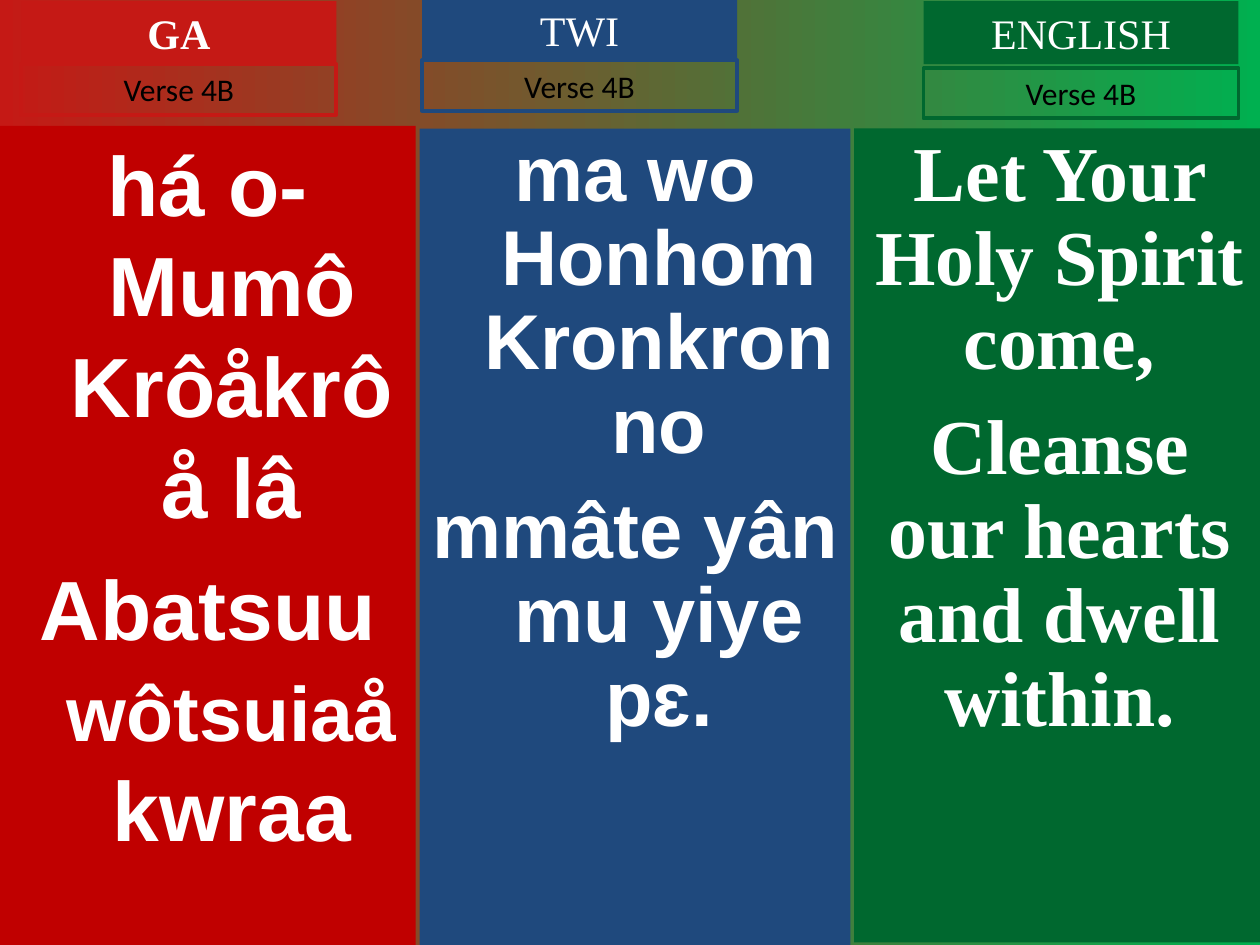
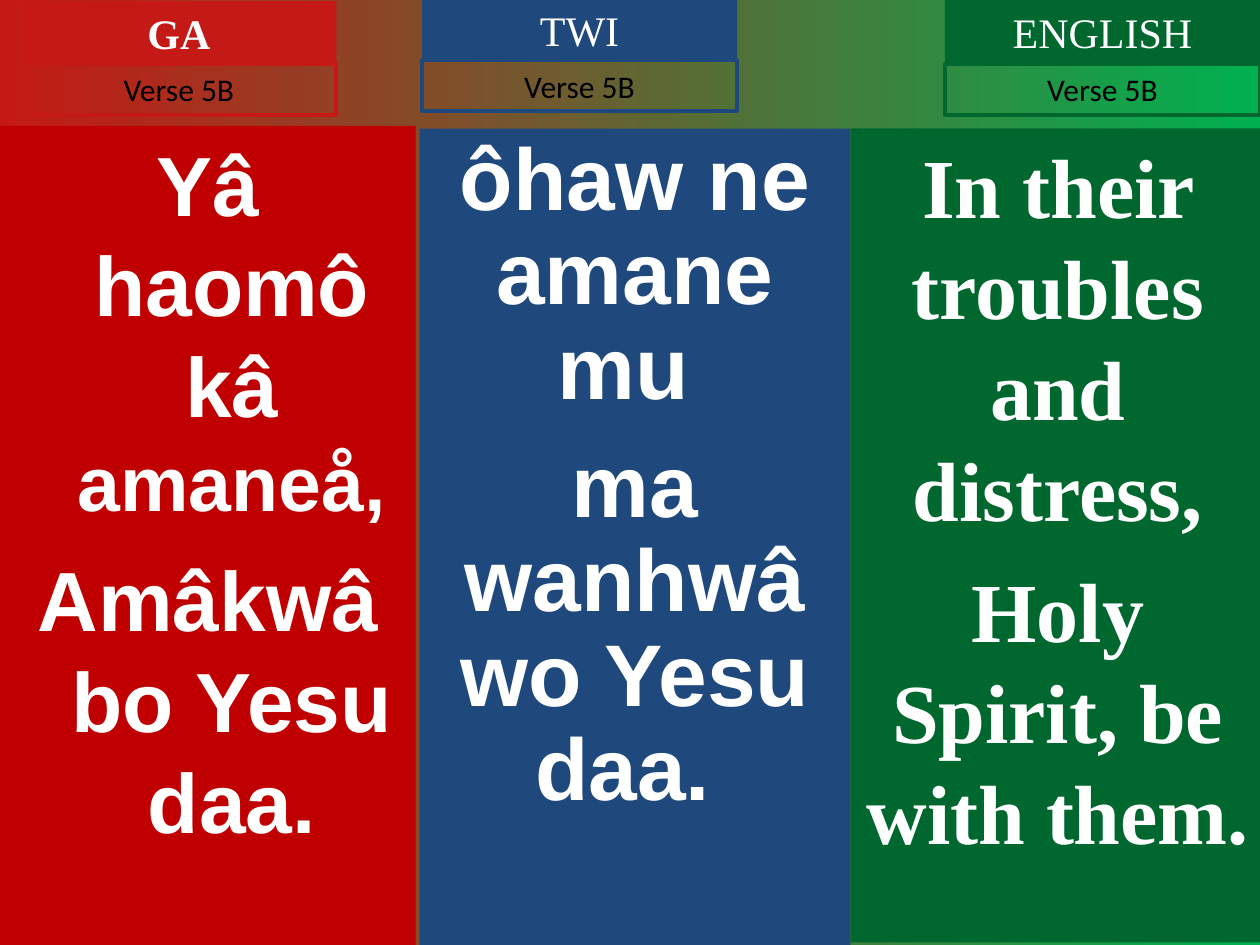
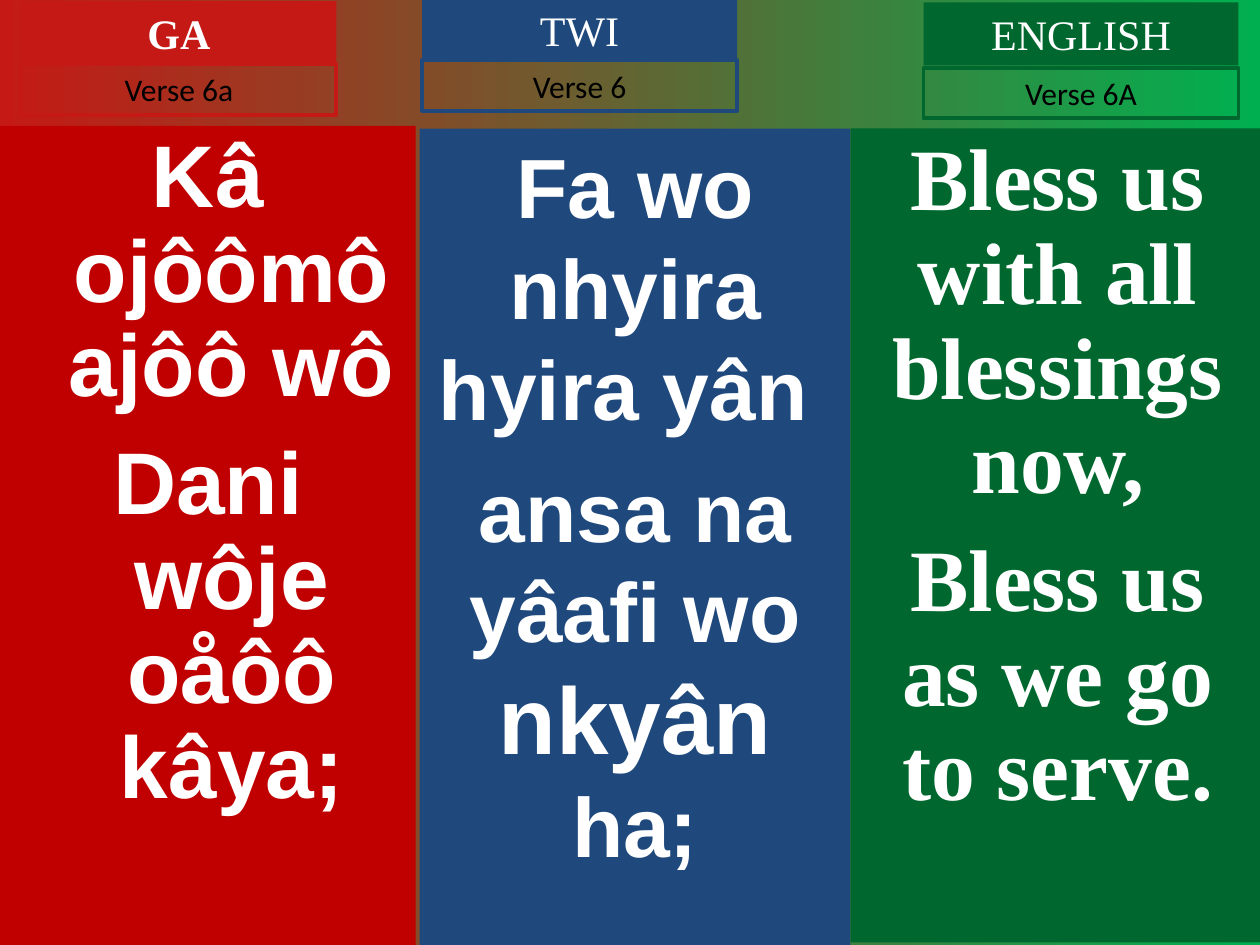
from dataclasses import dataclass

from pptx import Presentation
from pptx.dml.color import RGBColor
from pptx.enum.shapes import MSO_SHAPE
from pptx.enum.text import MSO_ANCHOR, MSO_AUTO_SIZE, PP_ALIGN
from pptx.util import Inches, Pt

RECTANGLE = MSO_SHAPE.RECTANGLE
CENTER = PP_ALIGN.CENTER
TOP = MSO_ANCHOR.TOP
GROW = MSO_AUTO_SIZE.SHAPE_TO_FIT_TEXT


@dataclass(frozen=True)
class Theme:
    white: str = "FFFFFF"
    black: str = "000000"
    sky_left: str = "C51915"
    sky_right: str = "00B050"
    panels: tuple = ("C00000", "1F497D", "00682F")
    labels: tuple = ("C51915", "1F497D", "00682F")
    sans: str = "Arial"
    serif: str = "Times New Roman"
    verse_font: str = "Calibri"
    language_size: float = 24
    verse_size: float = 18
    small: float = 44.4
    medium: float = 48
    large: float = 50
    border: float = 2.25


theme = Theme()
deck = Presentation()
deck.slide_width, deck.slide_height = Inches(10), Inches(7.5)
COLUMN = deck.slide_width / 100
ROW = deck.slide_height / 75
HANGING = 3.8 * COLUMN

LANGUAGES = ("GA", "TWI", "ENGLISH")
LYRIC_FONTS = (theme.sans, theme.sans, theme.serif)
LINE_SPACING = {theme.small: 0.9, theme.medium: 1.0, theme.large: 0.9}
SPACE_BEFORE = {theme.small: 12, theme.medium: 12, theme.large: 13.5}
LABEL_WIDTH, LANGUAGE_HEIGHT, VERSE_HEIGHT = 25, 5, 4

SLIDES = [
    {
        "verses": ("Verse 4B", "Verse 4B", "Verse 4B"),
        "sizes": (theme.medium, theme.small, theme.small),
        "hanging": (True, True, False),
        "english": {"panel": 67.8, "width": 32.6, "label": 73.3, "language": 0.1, "verse": 5.4},
        "lyrics": (
            (["há o-Mumô Krôåkrôå lâ"], ["Abatsuu ", ("wôtsuiaå", 44), " kwraa"]),
            (["ma wo Honhom Kronkron no"], ["mmâte yân mu yiye pɛ."]),
            (["Let Your Holy Spirit come,"], ["Cleanse our hearts and dwell within."]),
        ),
    },
    {
        "verses": ("Verse 5B", "Verse 5B", "Verse 5B"),
        "sizes": (theme.medium, theme.large, theme.medium),
        "hanging": (True, False, False),
        "english": {"panel": 67.5, "width": 32.9, "label": 75, "language": 0, "verse": 5.1},
        "lyrics": (
            (["Yâ haomô kâ ", ("amaneå,", 44)], ["Amâkwâ bo Yesu daa."]),
            (["ôhaw ne amane mu "], ["ma wanhwâ wo Yesu daa. "]),
            (["In their troubles and distress,"], ["Holy Spirit, be with them."]),
        ),
    },
    {
        "verses": ("Verse 6a", "Verse 6", "Verse 6A"),
        "sizes": (theme.large, theme.medium, theme.large),
        "hanging": (True, False, False),
        "english": {"panel": 67.5, "width": 32.9, "label": 73.3, "language": 0.2, "verse": 5.4},
        "lyrics": (
            (["Kâ ojôômô ajôô wô"], ["Dani wôje oåôô kâya;"]),
            (["Fa wo nhyira hyira yân "], ["ansa na yâafi wo ", ("nkyân ", 54), "ha;"]),
            (["Bless us with all blessings now,"], ["Bless us as we go to serve."]),
        ),
    },
]


def add_box(page, left, top, width, height, fill=None, line=None):
    box = page.shapes.add_shape(
        RECTANGLE, round(left * COLUMN), round(top * ROW), round(width * COLUMN), round(height * ROW)
    )
    box.shadow.inherit = False
    if fill:
        box.fill.solid()
        box.fill.fore_color.rgb = RGBColor.from_string(fill)
    else:
        box.fill.background()
    if line:
        box.line.color.rgb = RGBColor.from_string(line)
        box.line.width = Pt(theme.border)
    else:
        box.line.fill.background()
    box.text_frame.word_wrap = True
    box.text_frame.vertical_anchor = TOP
    return box.text_frame


def style(para, font, size, color, bold=False):
    para.alignment = CENTER
    para.font.name = font
    para.font.size = Pt(size)
    para.font.bold = bold
    para.font.color.rgb = RGBColor.from_string(color)


for content in SLIDES:
    page = deck.slides.add_slide(deck.slide_layouts[6])
    sky = page.background.fill
    sky.gradient()
    sky.gradient_angle = 0
    for stop, position, color in zip(sky.gradient_stops, (0, 1), (theme.sky_left, theme.sky_right)):
        stop.position = position
        stop.color.rgb = RGBColor.from_string(color)

    english = content["english"]
    panels = ((0, 10, 33, 65), (33.3, 10.2, 34.2, 64.8), (english["panel"], 10.2, english["width"], 64.6))
    labels = ((1.7, 0.1, 5.1), (33.5, -0.1, 4.8), (english["label"], english["language"], english["verse"]))

    for index, language in enumerate(LANGUAGES):
        size = content["sizes"][index]
        frame = add_box(page, *panels[index], fill=theme.panels[index])
        for number, spans in enumerate(content["lyrics"][index]):
            para = frame.add_paragraph() if number else frame.paragraphs[0]
            style(para, LYRIC_FONTS[index], size, theme.white, True)
            para.line_spacing = LINE_SPACING[size]
            if number:
                para.space_before = Pt(SPACE_BEFORE[size])
            if content["hanging"][index]:
                properties = para._p.get_or_add_pPr()
                properties.set("marL", str(round(HANGING)))
                properties.set("indent", str(-round(HANGING)))
            for part in spans:
                text, span_size = part if isinstance(part, tuple) else (part, None)
                span = para.add_run()
                span.text = text
                if span_size:
                    span.font.size = Pt(span_size)

        left, language_top, verse_top = labels[index]
        frame = add_box(page, left, language_top, LABEL_WIDTH, LANGUAGE_HEIGHT, fill=theme.labels[index])
        frame.auto_size = GROW
        frame.text = language
        style(frame.paragraphs[0], theme.serif, theme.language_size, theme.white, index == 0)

        frame = add_box(page, left, verse_top, LABEL_WIDTH, VERSE_HEIGHT, line=theme.labels[index])
        frame.auto_size = GROW
        frame.text = content["verses"][index]
        style(frame.paragraphs[0], theme.verse_font, theme.verse_size, theme.black)

deck.save("out.pptx")
